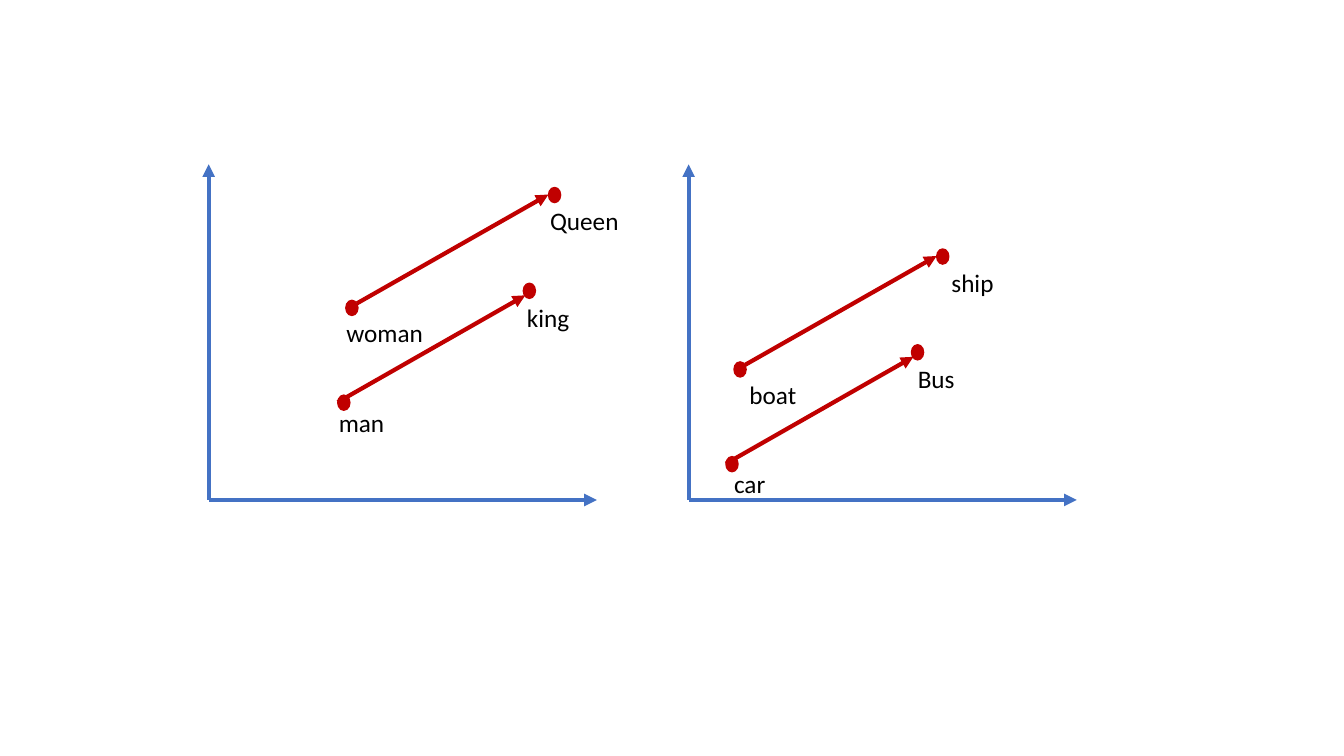
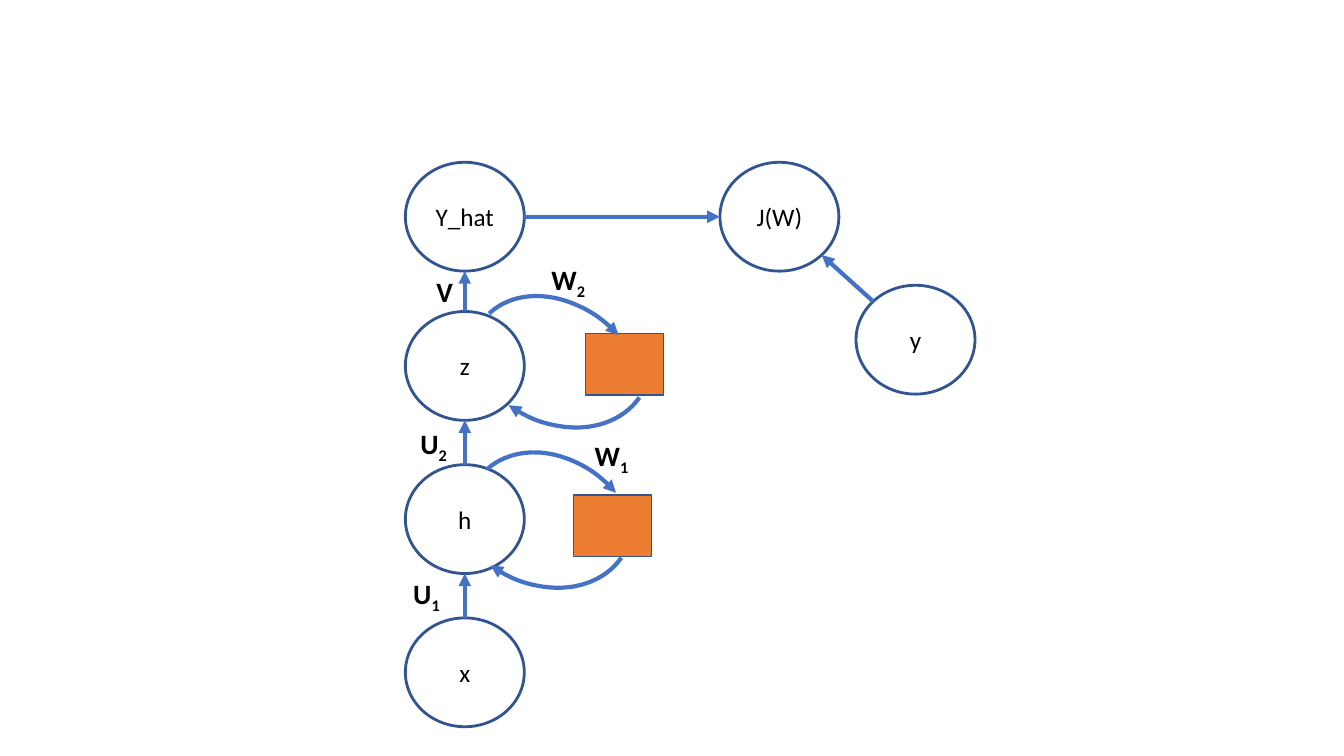
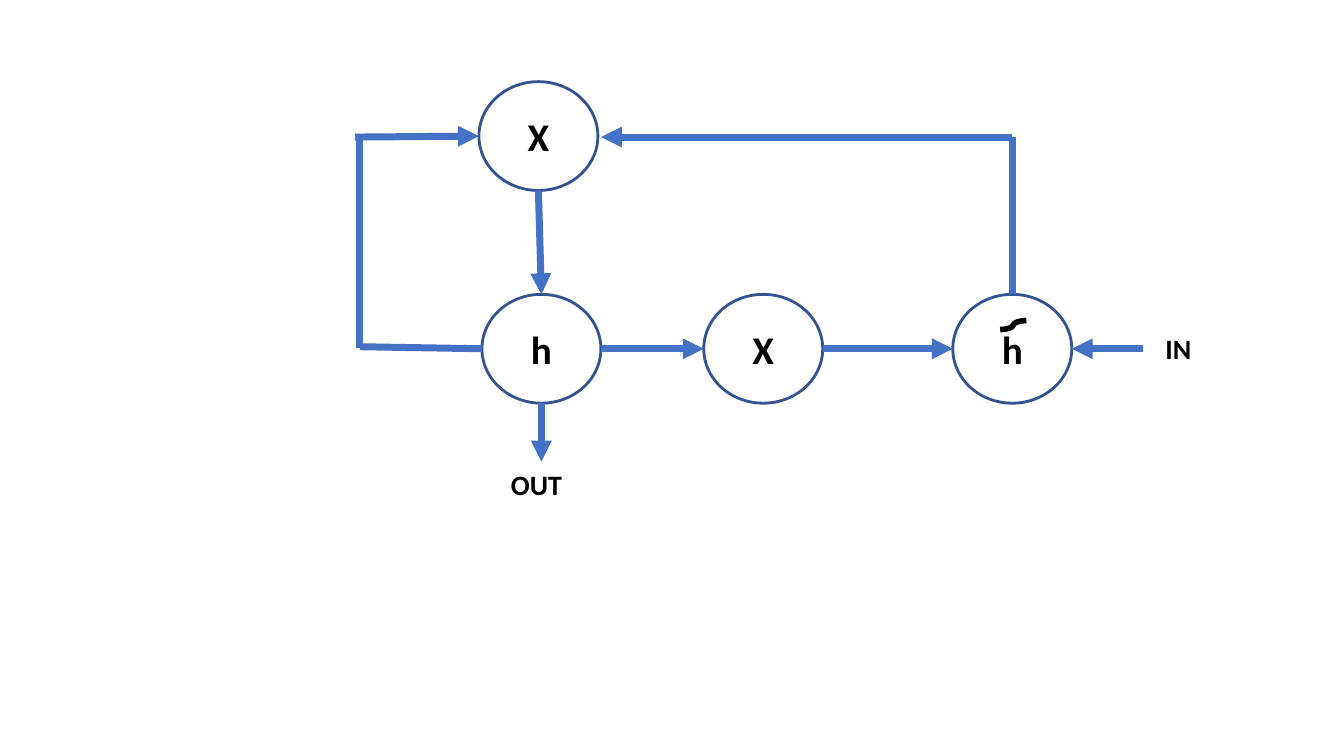
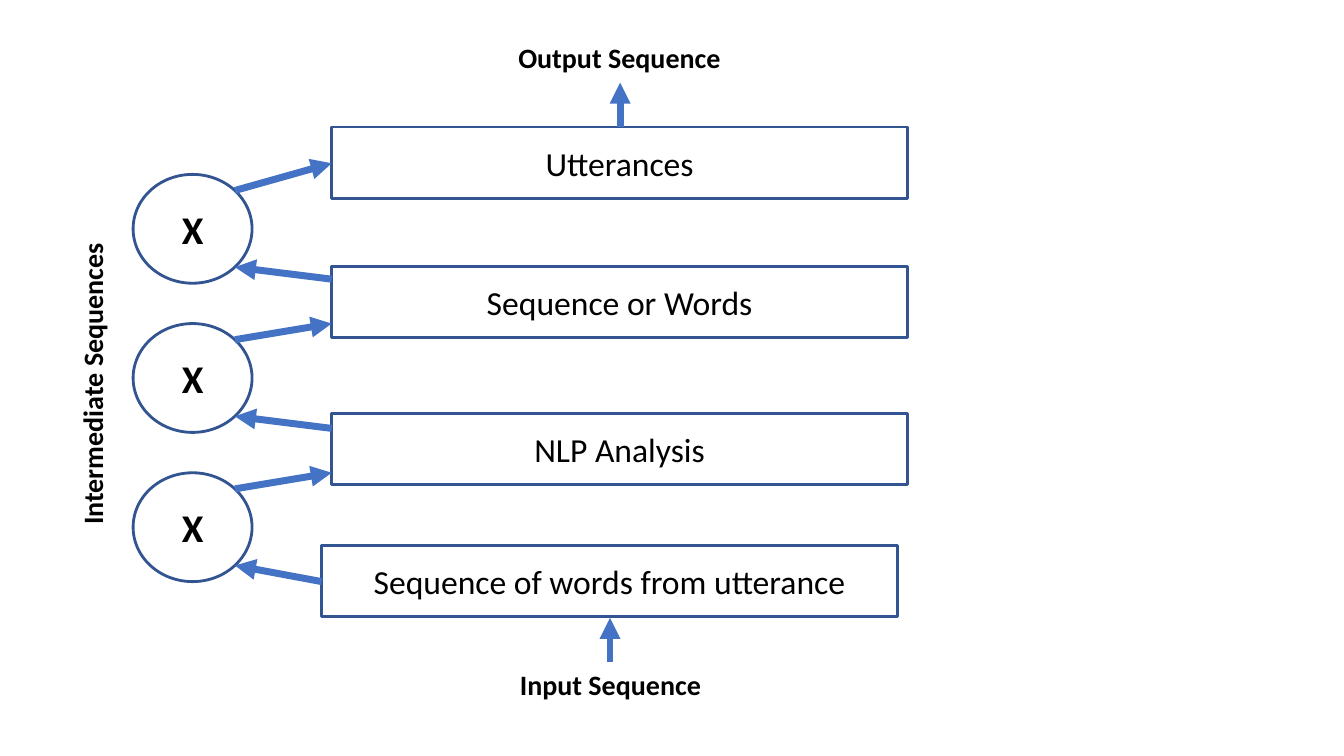
import pptx
import pptx.util
import pptx.dml.color
import pptx.enum.shapes
import pptx.enum.text
import pptx.oxml.ns
from lxml import etree

SHAPE = pptx.enum.shapes.MSO_SHAPE
CONNECTOR = pptx.enum.shapes.MSO_CONNECTOR
ALIGN = pptx.enum.text.PP_ALIGN
RGBColor = pptx.dml.color.RGBColor
qn = pptx.oxml.ns.qn

# Shared style: 100 px to the inch
EMU_PER_PX = 9144
WIDTH, HEIGHT = 1333, 750
FONT = "Calibri"
BLUE = RGBColor(0x44, 0x72, 0xC4)
NAVY = RGBColor(0x32, 0x54, 0x91)
RED = RGBColor(0xC0, 0x00, 0x00)
ORANGE = RGBColor(0xED, 0x7D, 0x31)
BLACK = RGBColor(0x00, 0x00, 0x00)
NODE_W, NODE_H = 118, 108


def px(length):
    return pptx.util.Emu(length * EMU_PER_PX)


def write_text(frame, text, size=18, bold=False, align=ALIGN.CENTER, subscript=""):
    """Fill a text frame with one paragraph, with an optional subscript."""
    frame.word_wrap = True
    para = frame.paragraphs[0]
    para.alignment = align
    for part, baseline in ((text, None), (subscript, "-25000")):
        if not part:
            continue
        span = para.add_run()
        span.text = part
        span.font.name = FONT
        span.font.size = pptx.util.Pt(size)
        span.font.bold = bold
        span.font.color.rgb = BLACK
        if baseline:
            span.font._element.set("baseline", baseline)


def add_arrowhead(item):
    etree.SubElement(item.element.spPr.find(qn("a:ln")), qn("a:tailEnd"), type="triangle")


class Sketch:
    """Holds the deck and the page being drawn."""

    def __init__(self):
        self.deck = pptx.Presentation()
        self.deck.slide_width = px(WIDTH)
        self.deck.slide_height = px(HEIGHT)
        self.page = None

    def new_page(self):
        self.page = self.deck.slides.add_slide(self.deck.slide_layouts[6])

    def shape(self, kind, left, top, width, height, fill=None, line=NAVY, weight=2):
        box = self.page.shapes.add_shape(kind, px(left), px(top), px(width), px(height))
        box.shadow.inherit = False
        if fill is None:
            box.fill.background()
        else:
            box.fill.solid()
            box.fill.fore_color.rgb = fill
        box.line.color.rgb = line
        box.line.width = pptx.util.Pt(weight)
        return box

    def node(self, text, left, top, **style):
        box = self.shape(SHAPE.OVAL, left, top, NODE_W, NODE_H)
        write_text(box.text_frame, text, **style)

    def bar(self, text, left, top):
        box = self.shape(SHAPE.RECTANGLE, left, top, 571, 71)
        write_text(box.text_frame, text, size=24)

    def dot(self, left, top):
        self.shape(SHAPE.OVAL, left, top, 12, 15, fill=RED, line=RED, weight=1)

    def loop_arc(self, left, top, width, height, rotation):
        arc = self.shape(SHAPE.ARC, left, top, width, height, line=BLUE, weight=3)
        arc.rotation = rotation
        add_arrowhead(arc)

    def label(self, text, left, top, width, height=44, rotation=0, **style):
        box = self.page.shapes.add_textbox(px(left), px(top), px(width), px(height))
        box.rotation = rotation
        write_text(box.text_frame, text, **style)
        box.text_frame.auto_size = pptx.enum.text.MSO_AUTO_SIZE.SHAPE_TO_FIT_TEXT

    def line(self, x1, y1, x2, y2, color=BLUE, weight=5, arrow=True,
             kind=CONNECTOR.STRAIGHT):
        link = self.page.shapes.add_connector(kind, px(x1), px(y1), px(x2), px(y2))
        link.line.color.rgb = color
        link.line.width = pptx.util.Pt(weight)
        if arrow:
            add_arrowhead(link)
        etree.SubElement(link.element.spPr, qn("a:effectLst"))


def draw_word_vectors(sketch):
    sketch.new_page()
    plots = [
        (207, 0, 0, ("king", "man", "Queen", "woman")),
        (683, 385, 61, ("Bus", "car", "ship", "boat")),
    ]
    label_spots = [(474, 295), (289, 399), (510, 199), (312, 310)]
    dot_spots = [(544, 186), (519, 281), (335, 392), (343, 298)]
    arrows = [(335, 399, 521, 293), (354, 301, 544, 193)]
    for origin, dx, dy, words in plots:
        # Axes
        sketch.line(origin, 496, origin, 163, weight=3)
        sketch.line(origin, 496, origin + 385, 496, weight=3)
        # Words and the vectors between them
        for word, (left, top) in zip(words, label_spots):
            sketch.label(word, left + dx, top + dy, 139, 40)
        for left, top in dot_spots:
            sketch.dot(left + dx, top + dy)
        for x1, y1, x2, y2 in arrows:
            sketch.line(x1 + dx, y1 + dy, x2 + dx, y2 + dy, color=RED, weight=3)


def draw_recurrent_network(sketch):
    sketch.new_page()
    # Main column, top to bottom, and the loss nodes
    tops = [161, 309, 461, 613]
    for text, top in zip(("Y_hat", "z", "h", "x"), tops):
        sketch.node(text, 402, top)
    sketch.node("J(W)", 714, 161)
    sketch.node("y", 849, 283)
    for upper, lower in zip(tops, tops[1:]):
        sketch.line(461, lower, 461, upper + NODE_H, weight=3)
    sketch.line(520, 215, 714, 215, weight=3)
    sketch.line(866, 299, 815, 253, weight=3)
    # Memory cells and their loops
    for left, top in ((569, 491), (581, 331)):
        sketch.shape(SHAPE.RECTANGLE, left, top, 77, 61, fill=ORANGE, weight=1)
    sketch.loop_arc(470, 440, 161, 204, 318.7)
    sketch.loop_arc(452, 393, 161, 204, 124.9)
    sketch.loop_arc(477, 283, 158, 207, 316.8)
    sketch.loop_arc(470, 234, 161, 204, 124.9)
    # Weights
    weights = [
        ("V", "", 423, 267, 37),
        ("U", "1", 400, 567, 54),
        ("W", "1", 580, 430, 66),
        ("U", "2", 407, 418, 54),
        ("W", "2", 537, 256, 66),
    ]
    for text, subscript, left, top, width in weights:
        sketch.label(text, left, top, width, size=20, bold=True,
                     align=ALIGN.LEFT, subscript=subscript)


def draw_gated_unit(sketch):
    sketch.new_page()
    nodes = [("X", 698, 292), ("X", 475, 81), ("h", 478, 292), ("h", 945, 292)]
    for text, left, top in nodes:
        sketch.node(text, left, top, size=28, bold=True)
    # Tilde over the candidate state
    sketch.line(992, 327, 1018, 318, color=BLACK, weight=4, arrow=False,
                kind=CONNECTOR.CURVE)
    # Plain segments of the feedback paths
    for ends in ((1004, 136, 1004, 292), (357, 135, 357, 345), (478, 346, 357, 344)):
        sketch.line(*ends, arrow=False)
    # Arrows
    arrows = [
        (1134, 346, 1063, 346),
        (1004, 136, 596, 136),
        (352, 136, 475, 135),
        (534, 189, 537, 292),
        (596, 346, 698, 346),
        (816, 346, 945, 346),
        (537, 400, 537, 458),
    ]
    for ends in arrows:
        sketch.line(*ends)
    for text, left, top, width in (("IN", 1146, 324, 47), ("OUT", 497, 459, 80)):
        sketch.label(text, left, top, width, size=20, bold=True, align=ALIGN.LEFT)


def draw_sequence_stack(sketch):
    sketch.new_page()
    # Stages
    stages = [
        ("Utterances", 329, 126),
        ("Sequence or Words", 329, 264),
        ("NLP Analysis", 329, 410),
        ("Sequence of words from utterance", 319, 541),
    ]
    for stage in stages:
        sketch.bar(*stage)
    # Each X node takes from the stage below and feeds the stage above
    links = [(162, 329, 277), (321, 329, 425), (469, 319, 577)]
    for row, (target_y, source_x, source_y) in enumerate(links):
        top = 173 + 148 * row
        sketch.node("X", 132, top, size=28, bold=True)
        sketch.line(233, top + 16, 329, target_y)
        sketch.line(source_x, source_y, 233, top + 92)
    # Input and output
    sketch.line(605, 657, 605, 613)
    sketch.line(615, 126, 615, 82)
    captions = [
        ("Input Sequence", 432, 657, 0),
        ("Intermediate Sequences", -82, 359, 270),
        ("Output Sequence", 441, 35, 0),
    ]
    for text, left, top, rotation in captions:
        sketch.label(text, left, top, 347, rotation=rotation, size=20, bold=True)


def main():
    sketch = Sketch()
    draw_word_vectors(sketch)
    draw_recurrent_network(sketch)
    draw_gated_unit(sketch)
    draw_sequence_stack(sketch)
    sketch.deck.save("out.pptx")


if __name__ == "__main__":
    main()
